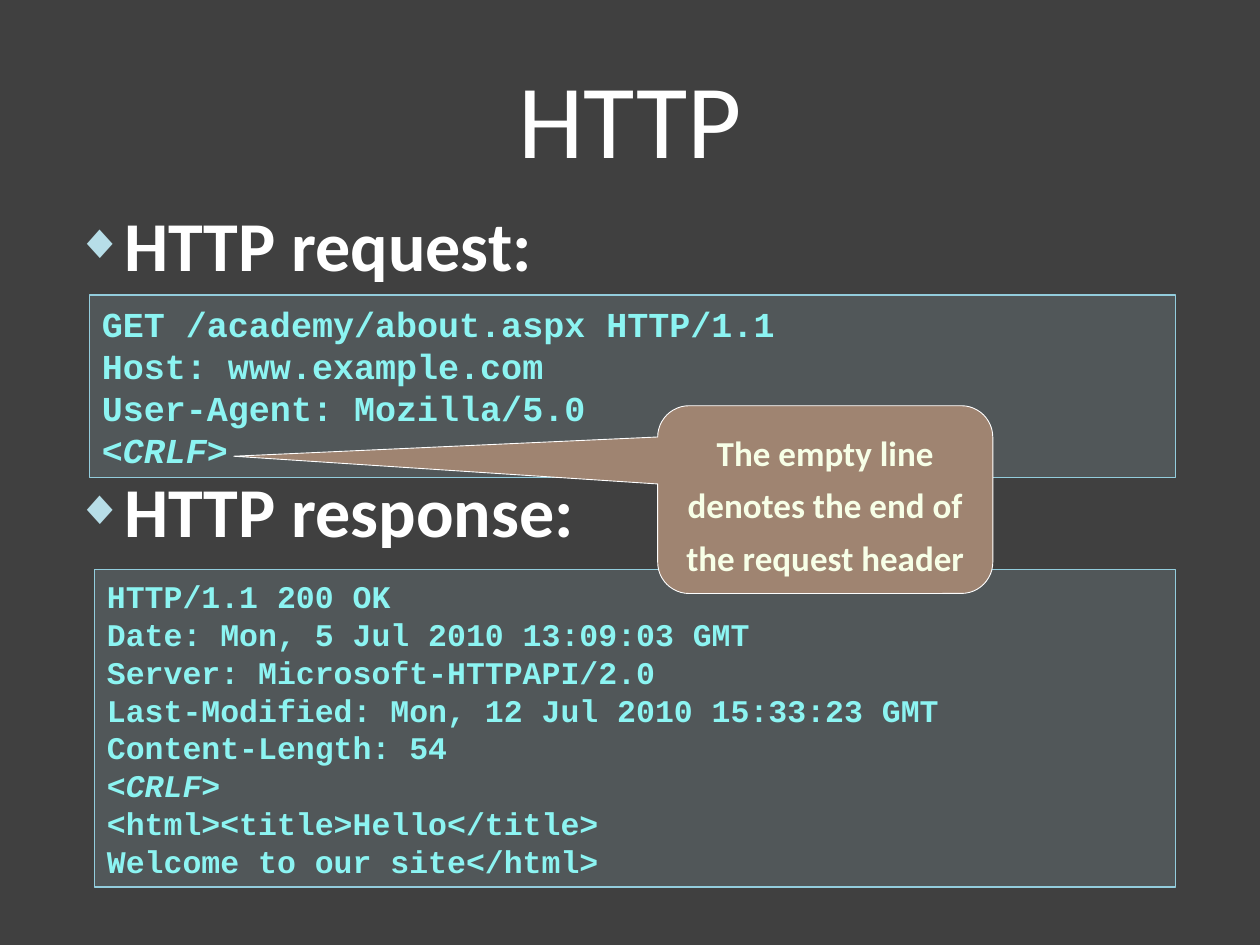
"""Builds the slide on HTTP request and response."""
from lxml import etree
from pptx import Presentation
from pptx.dml.color import RGBColor
from pptx.enum.shapes import MSO_SHAPE as SHAPE
from pptx.enum.text import MSO_ANCHOR as ANCHOR, MSO_AUTO_SIZE as AUTO, PP_ALIGN as ALIGN
from pptx.oxml import parse_xml
from pptx.oxml.ns import nsdecls, qn
from pptx.util import Inches, Pt


def rgb(c):
    return RGBColor.from_string(c)


def style(font, color, **fmt):
    for key, value in fmt.items():
        setattr(font, key, value)
    font.color.rgb = rgb(color)


prs = Presentation()
prs.slide_width, prs.slide_height = Inches(10), Inches(7.5)
s = prs.slides.add_slide(prs.slide_layouts[1])
s.background.fill.solid()
s.background.fill.fore_color.rgb = rgb("404040")

title, body = s.placeholders
for sp, box in ((title, (0.5, 0.3, 9, 1.25)), (body, (0.5, 1.55, 9, 4.95))):
    sp.left, sp.top, sp.width, sp.height = map(Inches, box)
    sp.text_frame.auto_size = AUTO.NONE
title.text_frame.text = "HTTP"
p = title.text_frame.paragraphs[0]
p.alignment = ALIGN.CENTER
style(p.runs[0].font, "FFFFFF", name="Calibri", size=Pt(60))

body.text_frame.text = "HTTP request:\nHTTP response:"
bullet = (
    f'<a:buClr {nsdecls("a")}><a:srgbClr val="B7DEE8"/></a:buClr>',
    f'<a:buSzPct {nsdecls("a")} val="70000"/>',
    f'<a:buChar {nsdecls("a")} char="◆"/>',
)
for p, gap in zip(body.text_frame.paragraphs, (0, 104)):
    pPr = p._p.get_or_add_pPr()
    pPr.set("marL", str(Inches(0.35)))
    pPr.set("indent", str(-Inches(0.35)))
    for xml in bullet:
        pPr.append(parse_xml(xml))
    p.space_before = Pt(gap)
    style(p.runs[0].font, "FFFFFF", name="Calibri", size=Pt(40), bold=True)

request = """GET /academy/about.aspx HTTP/1.1
Host: www.example.com
User-Agent: Mozilla/5.0
<CRLF>"""
response = """HTTP/1.1 200 OK
Date: Mon, 5 Jul 2010 13:09:03 GMT
Server: Microsoft-HTTPAPI/2.0
Last-Modified: Mon, 12 Jul 2010 15:33:23 GMT
Content-Length: 54
<CRLF>
<html><title>Hello</title>
Welcome to our site</html>"""
note = "The empty line denotes the end of the request header"

code = dict(kind=SHAPE.RECTANGLE, fill="B7DEE8", alpha=15, line="93CDDD", width=1,
            align=ALIGN.LEFT, font="Courier New", color="8CF4F2")
callout = dict(kind=SHAPE.ROUNDED_RECTANGULAR_CALLOUT, fill="9F8471", alpha=100,
               line="FFFFFF", width=0.5, align=ALIGN.CENTER, font="Calibri", color="F7FFE7")
boxes = (
    (request, (0.71, 2.34, 8.62, 1.45), 20, 24, code),
    (response, (0.75, 4.52, 8.58, 2.52), 18, 21.6, code),
    (note, (5.22, 3.22, 2.66, 1.49), 20, 30, callout),
)
for text, box, size, leading, look in boxes:
    sp = s.shapes.add_shape(look["kind"], *map(Inches, box))
    sp.shadow.inherit = False
    sp.fill.solid()
    sp.fill.fore_color.rgb = rgb(look["fill"])
    if look["alpha"] < 100:
        clr = sp._element.spPr.find(qn("a:solidFill")).find(qn("a:srgbClr"))
        etree.SubElement(clr, qn("a:alpha")).set("val", str(look["alpha"] * 1000))
    sp.line.color.rgb = rgb(look["line"])
    sp.line.width = Pt(look["width"])
    if look is callout:
        for i, value in enumerate((-1.765, -0.231, 0.167)):
            sp.adjustments[i] = value
    tf = sp.text_frame
    tf.word_wrap = True
    tf.vertical_anchor = ANCHOR.MIDDLE
    tf.text = text
    for p in tf.paragraphs:
        p.alignment = look["align"]
        p.line_spacing = Pt(leading)
        style(p.runs[0].font, look["color"], name=look["font"], size=Pt(size),
              bold=True, italic=p.text == "<CRLF>")

prs.save("out.pptx")
